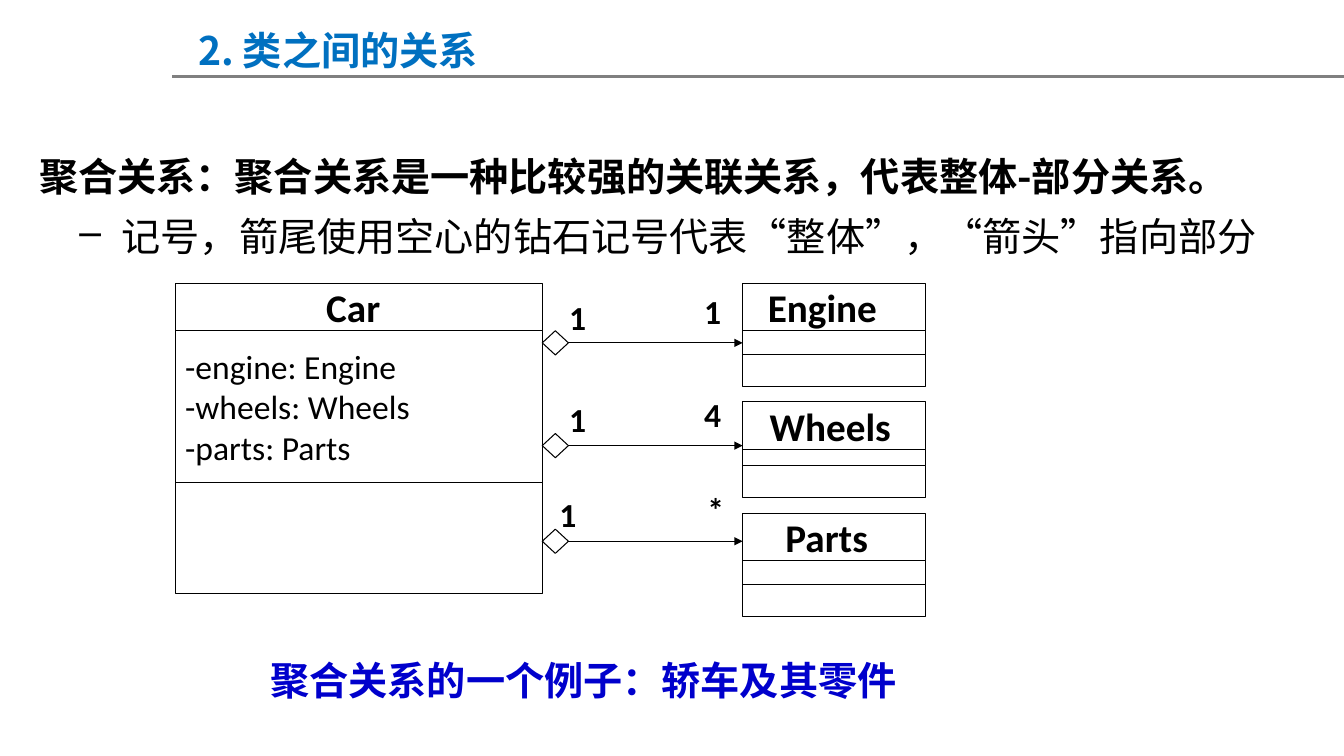
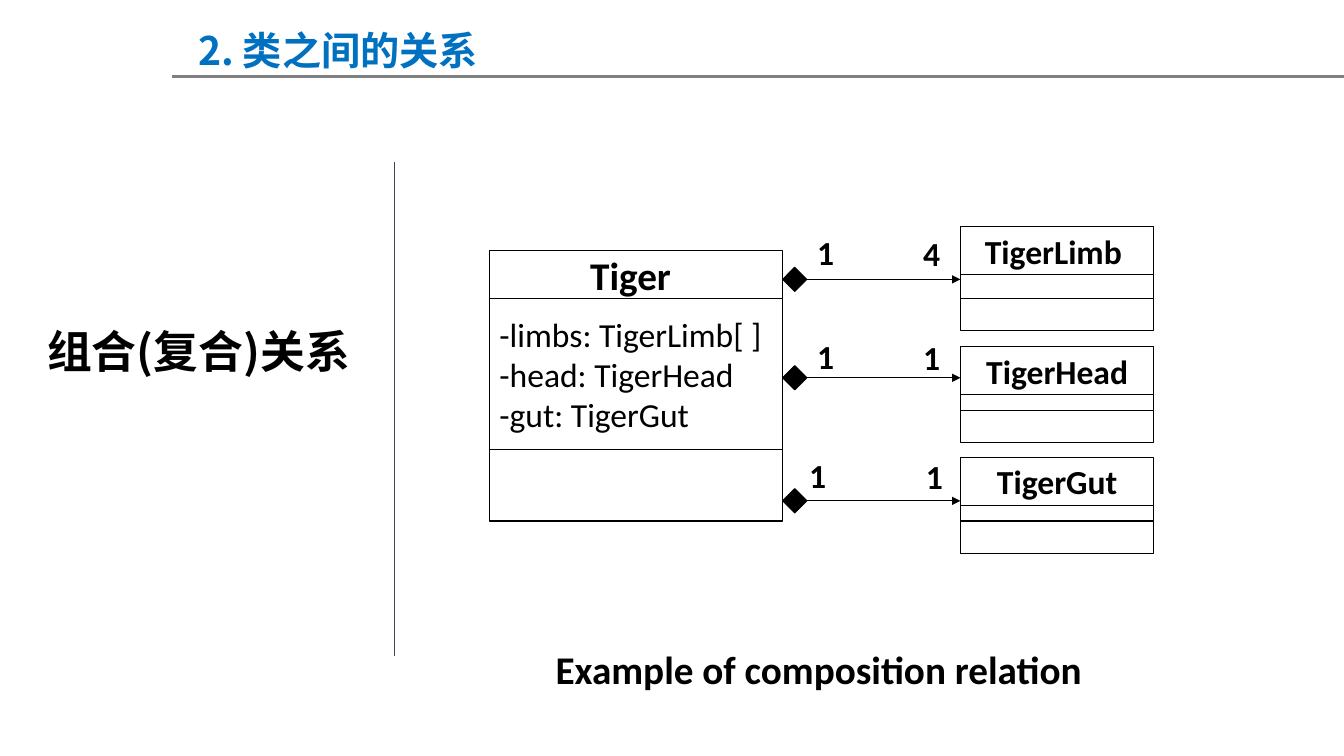
from dataclasses import dataclass
from lxml.etree import SubElement
from pptx import Presentation
from pptx.dml.color import RGBColor
from pptx.enum.shapes import MSO_CONNECTOR, MSO_SHAPE
from pptx.enum.text import MSO_ANCHOR, PP_ALIGN
from pptx.oxml.ns import qn
from pptx.util import Cm, Pt


@dataclass(frozen=True)
class Theme:
    latin: str = "Calibri"
    chinese: str = "Noto Sans CJK SC"
    black: str = "000000"
    white: str = "FFFFFF"
    title: str = "0070C0"
    caption: str = "0000CC"
    rule: str = "808080"
    divider: str = "414455"
    side: int = 32
    large: int = 28
    small: int = 24
    outline: float = 0.75


THEME = Theme()

# Content: all lengths in centimetres
TITLE = "2. 类之间的关系"
DEFINITION = [
    "聚合关系：聚合关系是一种比较强的关联关系，代表整体-部分关系。",
    "记号，箭尾使用空心的钻石记号代表“整体”，“箭头”指向部分",
]
AGGREGATION_CAPTION = "聚合关系的一个例子：轿车及其零件"
COMPOSITION_HEADING = "组合(复合)关系"
COMPOSITION_CAPTION = "Example of composition relation"

# "shift" is the right inset that moves a centred class name to the left
AGGREGATION = dict(
    whole=dict(name="Car", left=4.42, top=7.14, width=9.25,
               rows=(1.2, 3.81, 2.8), shift=0.28,
               fields=["-engine: Engine", "-wheels: Wheels", "-parts: Parts"]),
    part_left=18.72, part_width=4.62, part_size=THEME.large,
    diamond_width=0.66, diamond_fill=THEME.white, far_drop=-0.13,
    parts=[
        dict(name="Engine", top=7.14, rows=(1.2, 0.6, 0.81), shift=0.6,
             link=8.64, label_top=7.47, near=("1", 14.35), far=("1", 17.75)),
        dict(name="Wheels", top=10.13, rows=(1.2, 0.4, 0.81), shift=0.2,
             link=11.23, label_top=10.06, near=("1", 14.35), far=("4", 17.75)),
        dict(name="Parts", top=12.93, rows=(1.2, 0.6, 0.8), shift=0.38,
             link=13.64, label_top=12.45, near=("1", 14.1), far=("*", 17.83)),
    ],
)
COMPOSITION = dict(
    whole=dict(name="Tiger", left=12.34, top=6.32, width=7.39,
               rows=(1.2, 3.81, 1.8), shift=0.28,
               fields=["-limbs: TigerLimb[ ]", "-head: TigerHead", "-gut: TigerGut"]),
    part_left=24.21, part_width=4.88, part_size=THEME.small,
    diamond_width=0.61, diamond_fill=THEME.black, far_drop=0.03,
    parts=[
        dict(name="TigerLimb", top=5.72, rows=(1.2, 0.6, 0.81), shift=0.19,
             link=7.04, label_top=5.85, near=("1", 20.6), far=("4", 23.27)),
        dict(name="TigerHead", top=8.74, rows=(1.2, 0.4, 0.81), shift=0,
             link=9.52, label_top=8.46, near=("1", 20.6), far=("1", 23.27)),
        dict(name="TigerGut", top=11.53, rows=(1.2, 0.4, 0.81), shift=0,
             link=12.62, label_top=11.46, near=("1", 20.4), far=("1", 23.34)),
    ],
)
DIAMOND_HEIGHT = 0.61


# Text and shape helpers
def write(box, lines, *, size=THEME.small, font=THEME.latin, color=THEME.black,
          bold=False, align=PP_ALIGN.LEFT, anchor=MSO_ANCHOR.TOP,
          insets=(0.25, 0.13, 0.25, 0.13), spacing=None):
    """Fill a box with one paragraph per line and return the paragraphs."""
    frame = box.text_frame
    frame.word_wrap = True
    frame.vertical_anchor = anchor
    (frame.margin_left, frame.margin_top,
     frame.margin_right, frame.margin_bottom) = map(Cm, insets)
    for index, line in enumerate(lines):
        para = frame.add_paragraph() if index else frame.paragraphs[0]
        para.alignment = align
        if spacing:
            para.line_spacing = Pt(spacing)
        span = para.add_run()
        span.text = line
        span.font.size, span.font.bold = Pt(size), bold
        span.font.color.rgb = RGBColor.from_string(color)
        span.font.name = font
        SubElement(span.font._element, qn("a:ea")).set("typeface", font)
    return frame.paragraphs


def add_text(page, lines, left, top, width, height, **style):
    box = page.shapes.add_textbox(Cm(left), Cm(top), Cm(width), Cm(height))
    return write(box, lines, **style)


def add_box(page, kind, left, top, width, height, fill=THEME.white):
    box = page.shapes.add_shape(kind, Cm(left), Cm(top), Cm(width), Cm(height))
    box.shadow.inherit = False
    box.fill.solid()
    box.fill.fore_color.rgb = RGBColor.from_string(fill)
    box.line.color.rgb = RGBColor.from_string(THEME.black)
    box.line.width = Pt(THEME.outline)
    return box


def add_line(page, start, end, color=THEME.black, width=THEME.outline, arrow=False):
    line = page.shapes.add_connector(MSO_CONNECTOR.STRAIGHT, *map(Cm, start + end))
    line.line.color.rgb = RGBColor.from_string(color)
    line.line.width = Pt(width)
    if arrow:
        SubElement(line.line._get_or_add_ln(), qn("a:tailEnd")).set("type", "triangle")
    SubElement(line._element.spPr, qn("a:effectLst"))
    return line


def indent(para, left, first=0, bullet=None):
    properties = para._p.get_or_add_pPr()
    properties.set("marL", str(Cm(left)))
    properties.set("indent", str(Cm(first)))
    if bullet:
        SubElement(properties, qn("a:buChar")).set("char", bullet)


# Class diagram
def add_class(page, name, left, top, width, rows, shift, size=THEME.large, fields=()):
    boxes = []
    for height in rows:
        boxes.append(add_box(page, MSO_SHAPE.RECTANGLE, left, top, width, height))
        top += height
    write(boxes[0], [name], size=size, bold=True, align=PP_ALIGN.CENTER,
          anchor=MSO_ANCHOR.MIDDLE, insets=(0, 0, shift, 0))
    if fields:
        write(boxes[1], fields, anchor=MSO_ANCHOR.MIDDLE)
    return boxes


def add_diagram(page, diagram):
    whole = diagram["whole"]
    add_class(page, **whole)
    edge = whole["left"] + whole["width"]
    for part in diagram["parts"]:
        rows = add_class(page, part["name"], diagram["part_left"], part["top"],
                         diagram["part_width"], part["rows"], part["shift"],
                         size=diagram["part_size"])
        # Multiplicities at both ends
        for end, drop in (("near", 0), ("far", diagram["far_drop"])):
            text, left = part[end]
            add_text(page, [text], left, part["label_top"] + drop, 0.6, 0.94,
                     bold=True, insets=(0, 0, 0, 0))
        # Diamond and arrow
        height = part["link"]
        diamond = add_box(page, MSO_SHAPE.DIAMOND, edge, height - DIAMOND_HEIGHT / 2,
                          diagram["diamond_width"], DIAMOND_HEIGHT,
                          diagram["diamond_fill"])
        arrow = add_line(page, (edge + diagram["diamond_width"], height),
                         (diagram["part_left"], height), arrow=True)
        arrow.begin_connect(diamond, 3)
        for row in rows:
            if abs(row.top + row.height / 2 - Cm(height)) < Cm(0.03):
                arrow.end_connect(row, 1)


# Pages
def add_page(deck):
    page = deck.slides.add_slide(deck.slide_layouts[6])
    add_line(page, (4.34, 1.93), (33.88, 1.93), THEME.rule, 2)
    add_text(page, [TITLE], 4.75, 0.53, 17.4, 1.45, size=THEME.large,
             font=THEME.chinese, color=THEME.title, bold=True, spacing=34)
    return page


def add_aggregation_page(deck):
    page = add_page(deck)
    heading, detail = add_text(page, DEFINITION, 0.08, 3.58, 32.66, 3.53,
                               size=THEME.large, font=THEME.chinese, spacing=37.4)
    heading.runs[0].font.bold = True
    indent(heading, 0.66)
    detail.space_before = Pt(5.6)
    indent(detail, 2.74, -1.07, "–")
    add_diagram(page, AGGREGATION)
    add_text(page, [AGGREGATION_CAPTION], 3.28, 16.4, 22.86, 1.3,
             size=THEME.large, font=THEME.chinese, color=THEME.caption,
             bold=True, align=PP_ALIGN.CENTER, spacing=34)


def add_composition_page(deck):
    page = add_page(deck)
    add_text(page, [COMPOSITION_HEADING], 0.94, 7.97, 8.53, 3.1,
             size=THEME.side, font=THEME.chinese, bold=True, spacing=40)
    add_line(page, (9.93, 16.54), (9.93, 4.09), THEME.divider, 0.25)
    add_diagram(page, COMPOSITION)
    add_text(page, [COMPOSITION_CAPTION], 11.53, 16.13, 18.21, 1.2,
             size=THEME.large, bold=True, align=PP_ALIGN.CENTER)


def main():
    deck = Presentation()
    deck.slide_width, deck.slide_height = Cm(33.88), Cm(19.05)
    add_aggregation_page(deck)
    add_composition_page(deck)
    deck.save("out.pptx")


if __name__ == "__main__":
    main()
